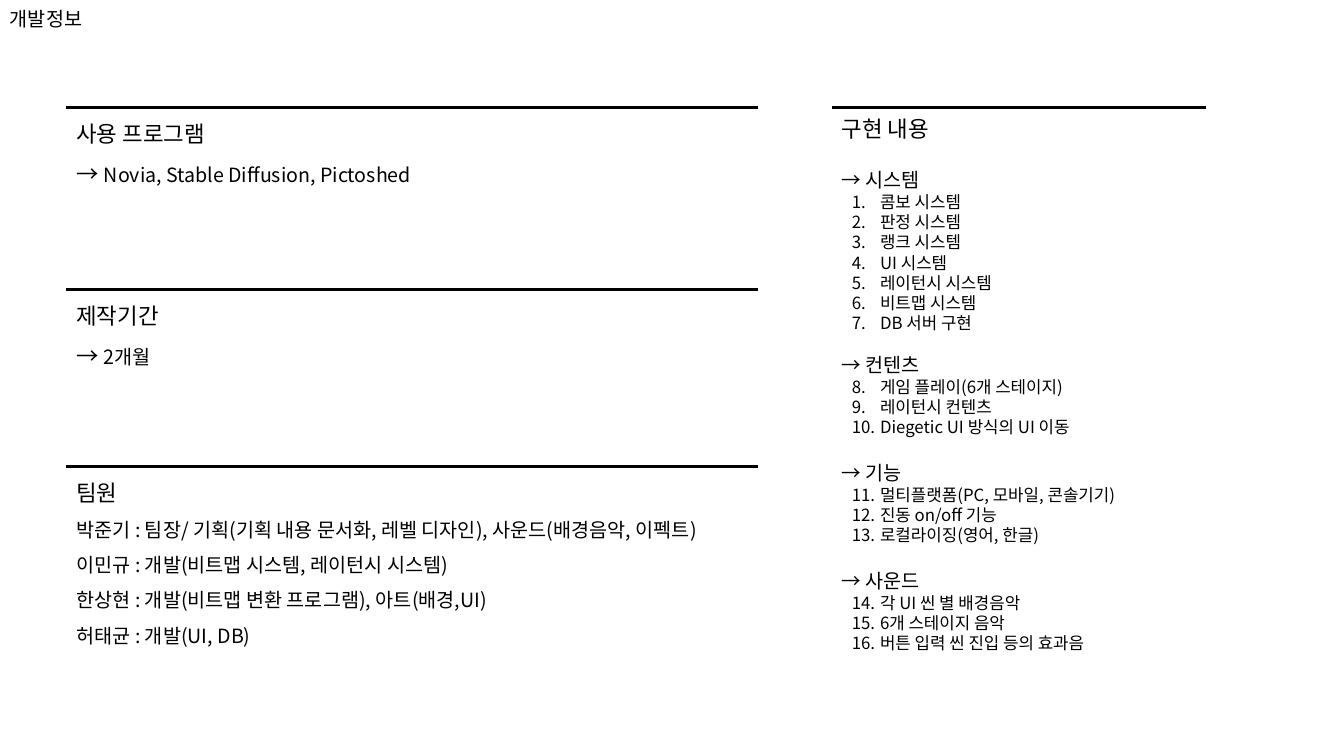
from dataclasses import dataclass

from lxml import etree
from pptx import Presentation
from pptx.dml.color import RGBColor
from pptx.enum.shapes import MSO_CONNECTOR
from pptx.enum.text import MSO_ANCHOR, MSO_AUTO_SIZE
from pptx.oxml.ns import qn
from pptx.util import Emu, Inches, Pt

STRAIGHT = MSO_CONNECTOR.STRAIGHT
MIDDLE, TOP = MSO_ANCHOR.MIDDLE, MSO_ANCHOR.TOP
GROW, FIXED = MSO_AUTO_SIZE.SHAPE_TO_FIT_TEXT, MSO_AUTO_SIZE.NONE
SLIDE_WIDTH, SLIDE_HEIGHT = Inches(13.33), Inches(7.5)
LEFT_COLUMN, RIGHT_COLUMN = 4.95, 61.89
LEFT_RULE, RIGHT_RULE = 51.46, 27.83
ARROW = "→ "


@dataclass(frozen=True)
class Theme:
    font: str = "Noto Sans CJK KR"
    ink: RGBColor = RGBColor(0, 0, 0)
    heading: int = 16
    body: int = 14
    item: int = 12
    rule: float = 2.25


@dataclass(frozen=True)
class Line:
    text: str
    size: int
    spacing: float = 1.0
    before: float = 0
    number: int = 0  # first number of the list, 0 for plain text
    lead: str = ""  # heading-sized text ahead of the line


@dataclass(frozen=True)
class Section:
    heading: str
    rule_row: float
    width: float
    height: float
    body: tuple[str, ...]
    lead: str = ""


@dataclass(frozen=True)
class Feature:
    name: str
    before: float
    items: tuple[str, ...]


THEME = Theme()

SECTIONS = (
    Section("사용 프로그램", 14.27, 27.31, 11.47,
            ("Novia, Stable Diffusion, Pictoshed",), ARROW),
    Section("제작기간", 38.27, 50.11, 11.47, ("2개월",), ARROW),
    Section("팀원", 61.73, 52.36, 25.07, (
        "박준기 : 팀장/ 기획(기획 내용 문서화, 레벨 디자인), 사운드(배경음악, 이펙트)",
        "이민규 : 개발(비트맵 시스템, 레이턴시 시스템)",
        "한상현 : 개발(비트맵 변환 프로그램), 아트(배경,UI)",
        "허태균 : 개발(UI, DB)",
    )),
)

FEATURES = (
    Feature("시스템", 19, (
        "콤보 시스템", "판정 시스템", "랭크 시스템", "UI 시스템",
        "레이턴시 시스템", "비트맵 시스템", "DB 서버 구현")),
    Feature("컨텐츠", 14.4, (
        "게임 플레이(6개 스테이지)", "레이턴시 컨텐츠", "Diegetic UI 방식의 UI 이동")),
    Feature("기능", 17, (
        "멀티플랫폼(PC, 모바일, 콘솔기기)", "진동 on/off 기능", "로컬라이징(영어, 한글)")),
    Feature("사운드", 17, (
        "각 UI 씬 별 배경음악", "6개 스테이지 음악", "버튼 입력 씬 진입 등의 효과음")),
)


def across(percent: float) -> Emu:
    return Emu(round(SLIDE_WIDTH * percent / 100))


def down(percent: float) -> Emu:
    return Emu(round(SLIDE_HEIGHT * percent / 100))


def write_line(paragraph, line: Line) -> None:
    paragraph.line_spacing = line.spacing
    if line.before:
        paragraph.space_before = Pt(line.before)
    if line.number:
        properties = paragraph._p.get_or_add_pPr()
        properties.set("marL", str(Inches(0.38)))
        properties.set("indent", str(Inches(-0.28)))
        etree.SubElement(properties, qn("a:buAutoNum"),
                         type="arabicPeriod", startAt=str(line.number))
    font = paragraph.font
    font.size = Pt(line.size)
    font.color.rgb = THEME.ink
    font.name = THEME.font
    etree.SubElement(font._element, qn("a:ea"), typeface=THEME.font)
    if line.lead:
        lead = paragraph.add_run()
        lead.text = line.lead
        lead.font.size = Pt(THEME.heading)
    paragraph.add_run().text = line.text


def add_text(slide, left: float, top: float, width: float, height: float,
             lines: list[Line], anchor=TOP, auto_size=GROW) -> None:
    frame = slide.shapes.add_textbox(
        across(left), down(top), across(width), down(height)).text_frame
    frame.word_wrap = True
    frame.auto_size = auto_size
    frame.vertical_anchor = anchor
    for index, line in enumerate(lines):
        write_line(frame.add_paragraph() if index else frame.paragraphs[0], line)


def add_rule(slide, left: float, row: float, width: float) -> None:
    rule = slide.shapes.add_connector(
        STRAIGHT, across(left), down(row), across(left + width), down(row))
    rule.line.color.rgb = THEME.ink
    rule.line.width = Pt(THEME.rule)
    etree.SubElement(rule._element.spPr, qn("a:effectLst"))


def feature_lines() -> list[Line]:
    lines = [Line("구현 내용", THEME.heading)]
    number = 1
    for feature in FEATURES:
        lines.append(Line(ARROW + feature.name, THEME.body, before=feature.before))
        lines += [Line(item, THEME.item, number=number) for item in feature.items]
        number += len(feature.items)
    return lines


def main() -> None:
    presentation = Presentation()
    presentation.slide_width, presentation.slide_height = SLIDE_WIDTH, SLIDE_HEIGHT
    slide = presentation.slides.add_slide(presentation.slide_layouts[6])

    # Slide title
    add_text(slide, 0, 0, 10.5, 5.2, [Line("개발정보", THEME.body, 0.9)], MIDDLE, FIXED)

    # Left column: programs, schedule and team
    for section in SECTIONS:
        lines = [Line(section.heading, THEME.heading, 1.5)]
        lines += [Line(text, THEME.body, 1.5, lead=section.lead) for text in section.body]
        add_text(slide, LEFT_COLUMN, section.rule_row - 0.8,
                 section.width, section.height, lines)
        add_rule(slide, LEFT_COLUMN, section.rule_row, LEFT_RULE)

    # Right column: implemented features
    feature_row = SECTIONS[0].rule_row
    add_text(slide, RIGHT_COLUMN, feature_row + 0.26, 29.03, 73.2, feature_lines())
    add_rule(slide, RIGHT_COLUMN, feature_row, RIGHT_RULE)

    presentation.save("out.pptx")


if __name__ == "__main__":
    main()
